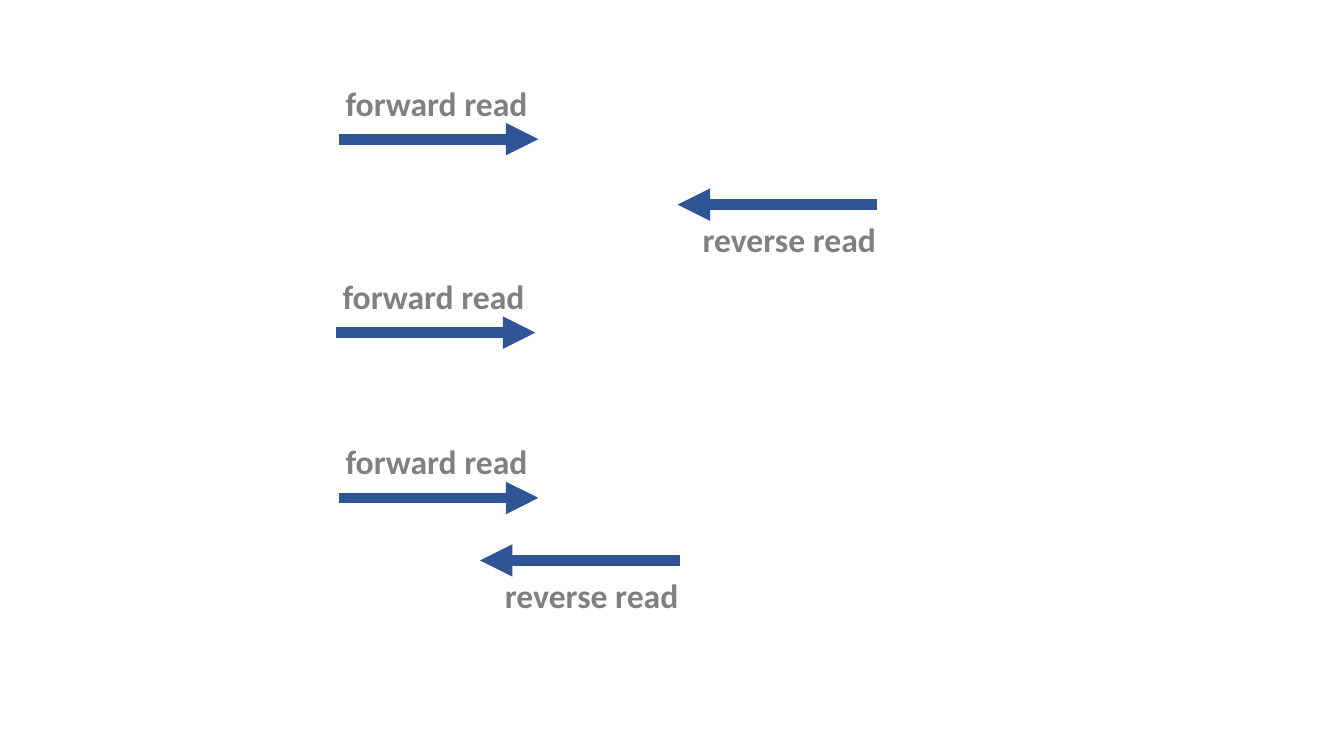
"""Build a slide of forward and reverse sequencing reads."""
from dataclasses import dataclass

from lxml import etree
from pptx import Presentation
from pptx.dml.color import RGBColor as Rgb
from pptx.enum.shapes import MSO_CONNECTOR as Link
from pptx.enum.text import MSO_AUTO_SIZE as Fit
from pptx.oxml.ns import qn
from pptx.util import Inches, Pt


@dataclass
class Theme:
    font: str = "Calibri"
    size: float = 24
    line: float = 7.75
    blue: str = "2F5597"
    gray: str = "808080"


theme = Theme()


def label(text, *, left, top, width, size=theme.size, color=theme.gray, bold=True):
    box = slide.shapes.add_textbox(Inches(left), Inches(top), Inches(width), Inches(0.5))
    frame = box.text_frame
    frame.word_wrap = True
    frame.auto_size = Fit.SHAPE_TO_FIT_TEXT
    run = frame.paragraphs[0].add_run()
    run.text = text
    run.font.name = theme.font
    run.font.size = Pt(size)
    run.font.bold = bold
    run.font.color.rgb = Rgb.from_string(color)


def arrow(start, end, y):
    link = slide.shapes.add_connector(
        Link.STRAIGHT, Inches(start), Inches(y), Inches(end), Inches(y))
    link.line.color.rgb = Rgb.from_string(theme.blue)
    link.line.width = Pt(theme.line)
    etree.SubElement(link.line._get_or_add_ln(), qn("a:tailEnd"), type="triangle")
    etree.SubElement(link._element.spPr, qn("a:effectLst"))


deck = Presentation()
deck.slide_width = Inches(13.33)
deck.slide_height = Inches(7.5)
slide = deck.slides.add_slide(deck.slide_layouts[6])

span = 1.98

for left, y in [(3.36, 1.38), (3.33, 3.3), (3.36, 4.94)]:
    arrow(left, left + span, y)
    label("forward read", left=left - 0.03, top=y - 0.61, width=2.17)

for right, y in [(8.7, 2.03), (6.74, 5.56)]:
    arrow(right, right - span, y)
    label("reverse read", left=right - 1.83, top=y + 0.09, width=1.97)

deck.save("out.pptx")
